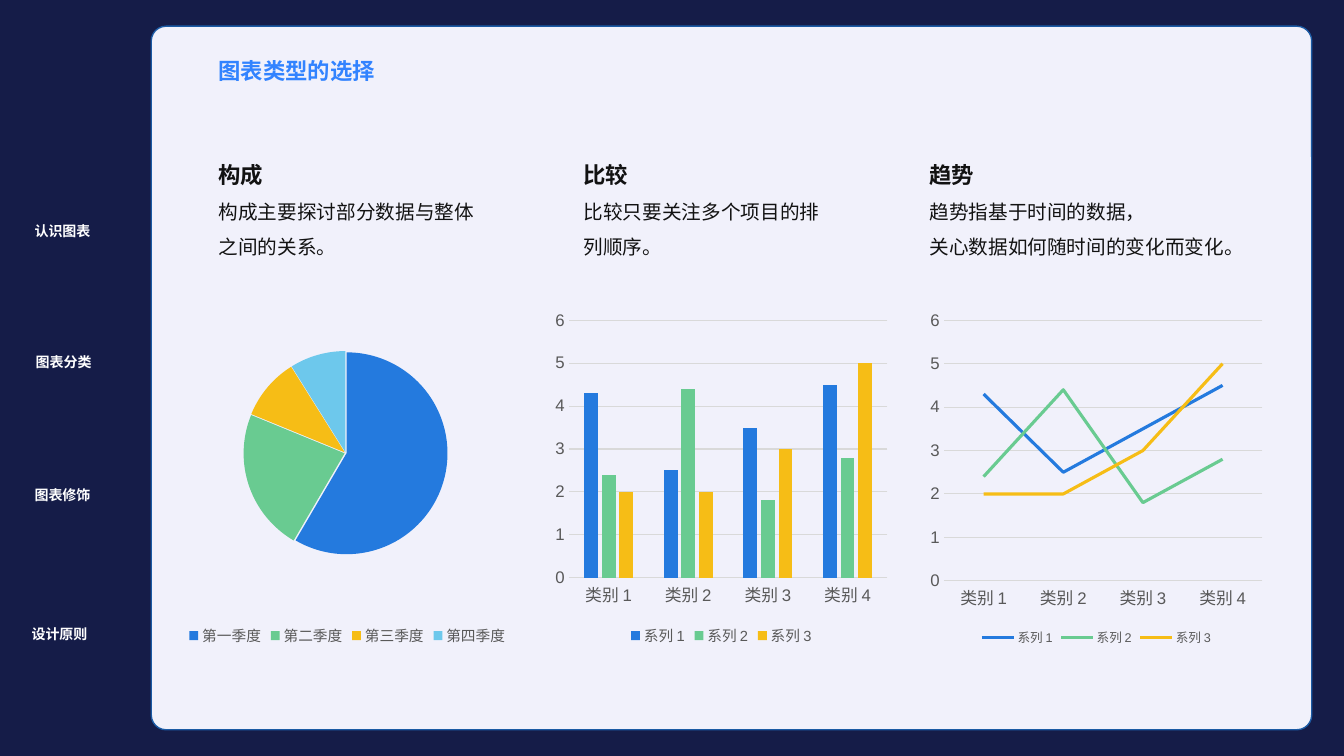
from lxml import etree
from pptx import Presentation
from pptx.chart.data import CategoryChartData
from pptx.dml.color import RGBColor
from pptx.enum.chart import XL_CHART_TYPE as CT, XL_LEGEND_POSITION as LP
from pptx.enum.chart import XL_TICK_MARK as TICK
from pptx.enum.shapes import MSO_SHAPE
from pptx.enum.text import MSO_ANCHOR, MSO_AUTO_SIZE, PP_ALIGN
from pptx.oxml.ns import qn
from pptx.util import Inches, Pt

FONT, CJK = "Arial", "Noto Sans CJK SC"
NAVY, PANEL, EDGE, TITLE, INK = "151C48", "F1F1FB", "1B5AA4", "3283FF", "121212"
GREY, GRID, WHITE = "595959", "D9D9D9", "FFFFFF"
PALETTE = ["247ADE", "69CB91", "F6BD16", "6DC8EC"]

TEXT_TOP, TEXT_H = 1.42, 1.17
CHART_TOP, CHART_SIZE = 3.02, 3.43

QUARTERS = {"Series 1": [59, 23, 10, 9]}
QUARTER_NAMES = [f"第{n}季度" for n in "一二三四"]
SERIES = {
    "系列 1": [4.3, 2.5, 3.5, 4.5],
    "系列 2": [2.4, 4.4, 1.8, 2.8],
    "系列 3": [2, 2, 3, 5],
}
CATEGORIES = [f"类别 {n}" for n in range(1, 5)]

# Sidebar entries: text, left, top
NAV = [("认识图表", 0.23, 2.16), ("图表分类", 0.24, 3.46),
       ("图表修饰", 0.23, 4.78), ("设计原则", 0.2, 6.16)]

# Columns: text left, text width, heading, body lines
COLUMNS = [
    (2.07, 2.91, "构成", ["构成主要探讨部分数据与整体之间的关系。"]),
    (5.69, 2.72, "比较", ["比较只要关注多个项目的排列顺序。"]),
    (9.12, 3.49, "趋势", ["趋势指基于时间的数据，", "关心数据如何随时间的变化而变化。"]),
]


def rgb(value):
    return RGBColor.from_string(value)


def paint(sp, fill):
    sp.fill.solid()
    sp.fill.fore_color.rgb = rgb(fill)


def set_font(font, size, color, name=FONT, bold=False):
    font.size, font.bold, font.name = Pt(size), bold, name
    font.color.rgb = rgb(color)


def add_text(p, text, size=14, color=INK, name=FONT, bold=False,
             align=PP_ALIGN.LEFT, spacing=None):
    p.alignment = align
    if spacing:
        p.line_spacing = spacing
    r = p.add_run()
    r.text = text
    set_font(r.font, size, color, name, bold)
    latin = r.font._element.find(qn("a:latin"))
    ea = etree.Element(qn("a:ea"), typeface=CJK)
    latin.addnext(ea)


def add_box(slide, left, top, width, height, lines, anchor=MSO_ANCHOR.TOP, grow=True):
    """Lines are (text, format) pairs, one paragraph each."""
    sp = slide.shapes.add_textbox(*map(Inches, (left, top, width, height)))
    tf = sp.text_frame
    tf.word_wrap, tf.vertical_anchor = True, anchor
    tf.auto_size = MSO_AUTO_SIZE.SHAPE_TO_FIT_TEXT if grow else MSO_AUTO_SIZE.NONE
    for i, (text, style) in enumerate(lines):
        p = tf.add_paragraph() if i else tf.paragraphs[0]
        add_text(p, text, **style)


def add_panel(slide):
    sp = slide.shapes.add_shape(MSO_SHAPE.ROUNDED_RECTANGLE,
                                *map(Inches, (1.5, 0.26, 11.51, 6.98)))
    sp.adjustments[0] = 0.021
    sp.shadow.inherit = False
    paint(sp, PANEL)
    sp.line.color.rgb = rgb(EDGE)
    sp.line.width = Pt(1)


def add_chart(slide, kind, left, categories, series, legend_size):
    data = CategoryChartData()
    data.categories = categories
    for name, values in series.items():
        data.add_series(name, values)
    box = map(Inches, (left, CHART_TOP, CHART_SIZE, CHART_SIZE))
    chart = slide.shapes.add_chart(kind, *box, data).chart
    set_font(chart.font, 10, "000000")
    chart.has_title = False
    chart.has_legend = True
    chart.legend.position = LP.BOTTOM
    chart.legend.include_in_layout = False
    set_font(chart.legend.font, legend_size, GREY)
    return chart


def style_axes(chart):
    cat, val = chart.category_axis, chart.value_axis
    for axis in (cat, val):
        axis.major_tick_mark = axis.minor_tick_mark = TICK.NONE
        set_font(axis.tick_labels.font, 12, GREY)
    val.minimum_scale, val.maximum_scale, val.major_unit = 0, 6, 1
    val.has_major_gridlines = True
    val.format.line.fill.background()
    for line in (cat.format.line, val.major_gridlines.format.line):
        line.color.rgb = rgb(GRID)
        line.width = Pt(0.75)


def add_pie(slide):
    chart = add_chart(slide, CT.PIE, 1.73, QUARTER_NAMES, QUARTERS, 10.5)
    plot = chart.plots[0]
    plot.vary_by_categories = True
    series = plot.series[0]
    for i, color in enumerate(PALETTE):
        paint(series.points[i].format, color)
    # Slight gap between the slices
    explosion = etree.Element(qn("c:explosion"), val="1")
    series._element.find(qn("c:dPt")).addprevious(explosion)
    # Fixed inner plot area
    area = chart._chartSpace.find(".//" + qn("c:plotArea"))
    for old in area.findall(qn("c:layout")):
        area.remove(old)
    layout = etree.Element(qn("c:layout"))
    manual = etree.SubElement(layout, qn("c:manualLayout"))
    for tag, val in (("layoutTarget", "inner"), ("xMode", "edge"), ("yMode", "edge"),
                     ("x", "0.2"), ("y", "0.13"), ("w", "0.59"), ("h", "0.6")):
        etree.SubElement(manual, qn("c:" + tag), val=val)
    area.insert(0, layout)


def add_columns(slide):
    chart = add_chart(slide, CT.COLUMN_CLUSTERED, 5.44, CATEGORIES, SERIES, 10.5)
    style_axes(chart)
    plot = chart.plots[0]
    plot.vary_by_categories = False
    plot.gap_width, plot.overlap = 219, -27
    for series, color in zip(plot.series, PALETTE):
        paint(series.format, color)


def add_lines(slide):
    chart = add_chart(slide, CT.LINE, 9.16, CATEGORIES, SERIES, 9)
    style_axes(chart)
    plot = chart.plots[0]
    plot.vary_by_categories = False
    for series, color in zip(plot.series, PALETTE):
        series.smooth = False
        series.format.line.color.rgb = rgb(color)
        series.format.line.width = Pt(2.25)


def main():
    prs = Presentation()
    prs.slide_width, prs.slide_height = Inches(13.33), Inches(7.5)
    slide = prs.slides.add_slide(prs.slide_layouts[6])
    paint(slide.background, NAVY)

    # Panel and sidebar
    add_panel(slide)
    nav_style = dict(size=10, color=WHITE, name=CJK, bold=True, align=PP_ALIGN.CENTER)
    for text, left, top in NAV:
        add_box(slide, left, top, 0.78, 0.27, [(text, nav_style)])

    # Title and column texts
    head = dict(size=16, bold=True, spacing=1.5)
    add_box(slide, 2.07, 0.39, 9.63, 0.48, [("图表类型的选择", dict(head, color=TITLE))],
            anchor=MSO_ANCHOR.MIDDLE, grow=False)
    for left, width, heading, body in COLUMNS:
        lines = [(heading, head)] + [(text, dict(spacing=1.5)) for text in body]
        add_box(slide, left, TEXT_TOP, width, TEXT_H, lines)

    # Charts
    add_pie(slide)
    add_columns(slide)
    add_lines(slide)
    prs.save("out.pptx")


if __name__ == "__main__":
    main()
